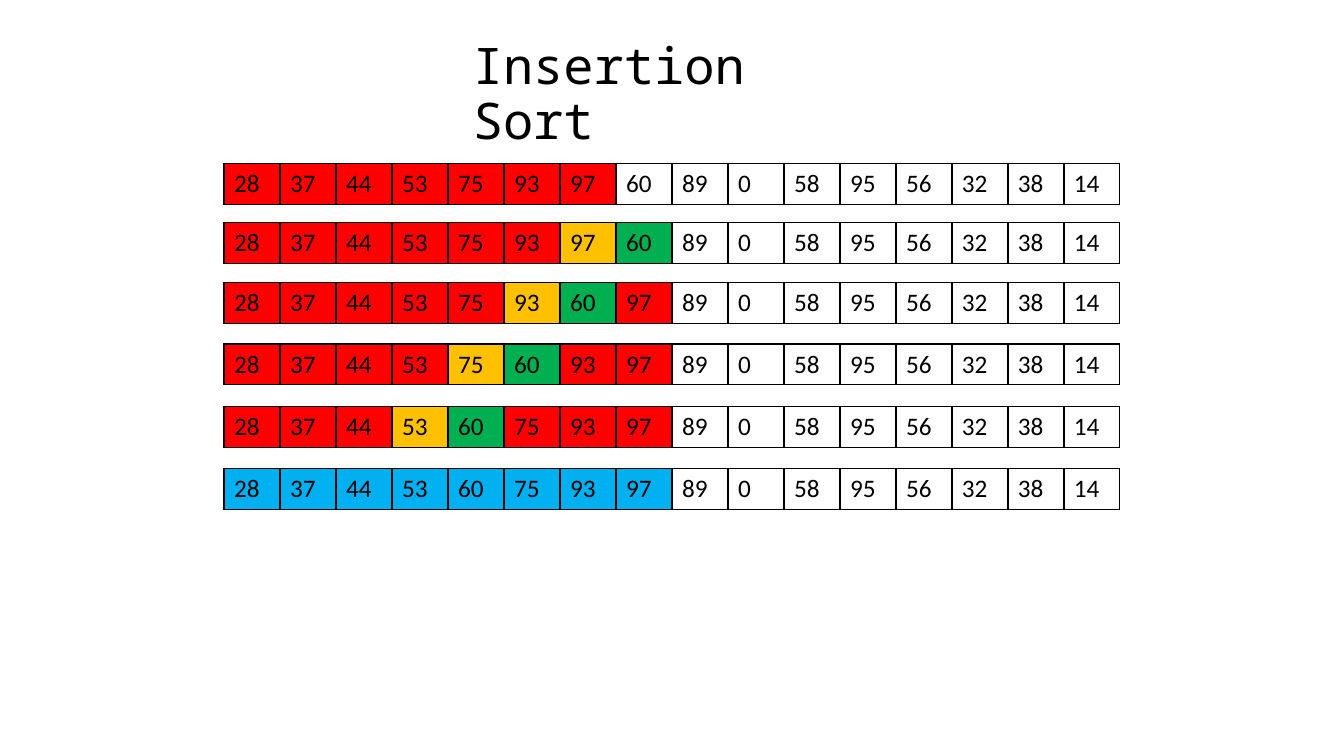
from dataclasses import dataclass

from lxml import etree
from pptx import Presentation
from pptx.dml.color import RGBColor
from pptx.enum import text as t
from pptx.oxml import ns
from pptx.util import Pt

BLACK = RGBColor(0x00, 0x00, 0x00)
RED = RGBColor(0xFF, 0x00, 0x00)
AMBER = RGBColor(0xFF, 0xC0, 0x00)
GREEN = RGBColor(0x00, 0xB0, 0x50)
BLUE = RGBColor(0x00, 0xB0, 0xF0)

SORTED = [28, 37, 44, 53, 75, 93, 97]
KEY = 60
UNSORTED = [89, 0, 58, 95, 56, 32, 38, 14]
ROW_LEFT, CELL_WIDTH, ROW_HEIGHT = Pt(160), Pt(40), Pt(29.2)


@dataclass(frozen=True)
class Step:
    top: float
    key_index: int
    prefix_fill: RGBColor = RED
    compared_fill: RGBColor | None = AMBER
    key_fill: RGBColor | None = GREEN

    def values(self) -> list[int]:
        return SORTED[:self.key_index] + [KEY] + SORTED[self.key_index:] + UNSORTED

    def fill(self, index: int) -> RGBColor | None:
        if index > len(SORTED):
            return None
        if index == self.key_index:
            return self.key_fill
        if index == self.key_index - 1:
            return self.compared_fill
        return self.prefix_fill


STEPS = [
    Step(116.7, 7, compared_fill=RED, key_fill=None),
    Step(159.1, 7),
    Step(201.6, 6),
    Step(245.7, 5),
    Step(290.2, 4),
    Step(334.8, 4, prefix_fill=BLUE, compared_fill=BLUE, key_fill=BLUE),
]


def write_text(frame, content: str, *, size: float, font: str,
               color: RGBColor = BLACK, line_spacing: float = 1.0) -> None:
    paragraph = frame.paragraphs[0]
    paragraph.alignment = t.PP_ALIGN.LEFT
    paragraph.line_spacing = line_spacing
    run = paragraph.add_run()
    run.text = content
    run.font.size = Pt(size)
    run.font.name = font
    run.font.bold = False
    run.font.color.rgb = color


def add_borders(cell, color: RGBColor = BLACK, width: float = 1) -> None:
    properties = cell._tc.get_or_add_tcPr()
    for position, side in enumerate(("lnL", "lnR", "lnT", "lnB")):
        line = etree.Element(ns.qn(f"a:{side}"), w=str(Pt(width)))
        fill = etree.SubElement(line, ns.qn("a:solidFill"))
        etree.SubElement(fill, ns.qn("a:srgbClr"), val=str(color))
        properties.insert(position, line)


def draw_step(slide, step: Step) -> None:
    values = step.values()
    table = slide.shapes.add_table(
        1, len(values), ROW_LEFT, Pt(step.top), CELL_WIDTH * len(values), ROW_HEIGHT
    ).table
    table.first_row = False
    table.horz_banding = False
    for index, value in enumerate(values):
        cell = table.cell(0, index)
        write_text(cell.text_frame, str(value), size=18, font="Calibri")
        color = step.fill(index)
        if color is None:
            cell.fill.background()
        else:
            cell.fill.solid()
            cell.fill.fore_color.rgb = color
        add_borders(cell)


def draw_title(slide) -> None:
    title = slide.shapes.title
    title.left, title.top, title.width, title.height = Pt(330.5), Pt(26), Pt(298), Pt(51)
    frame = title.text_frame
    frame.word_wrap = True
    frame.vertical_anchor = t.MSO_ANCHOR.TOP
    frame.auto_size = t.MSO_AUTO_SIZE.SHAPE_TO_FIT_TEXT
    write_text(frame, "Insertion Sort", size=36, font="Noto Sans Mono", line_spacing=0.9)


presentation = Presentation()
presentation.slide_width, presentation.slide_height = Pt(960), Pt(540)
slide = presentation.slides.add_slide(presentation.slide_layouts.get_by_name("Title Only"))
draw_title(slide)
for step in STEPS:
    draw_step(slide, step)
presentation.save("out.pptx")
